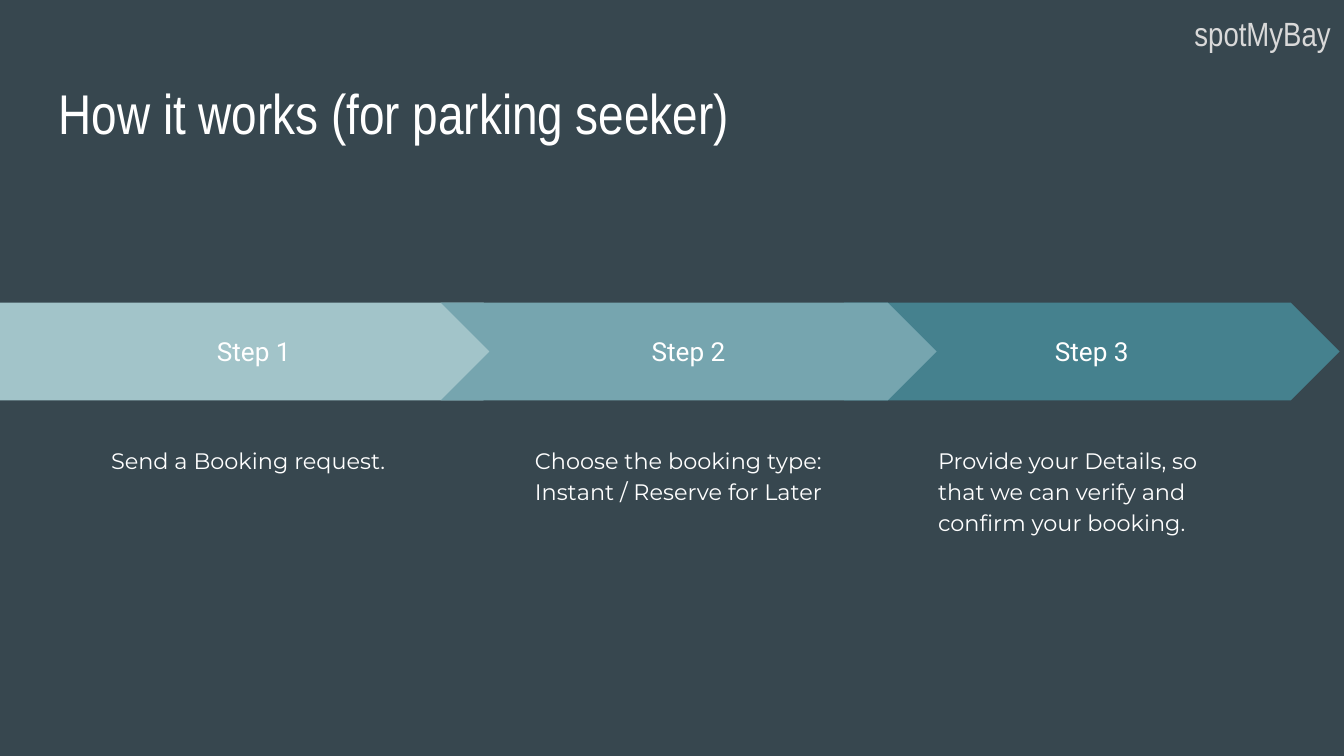
import dataclasses

import pptx
import pptx.dml.color
import pptx.enum.shapes
import pptx.enum.text
import pptx.util

Cm = pptx.util.Cm
Pt = pptx.util.Pt
ALIGN = pptx.enum.text.PP_ALIGN
ANCHOR = pptx.enum.text.MSO_ANCHOR
SHAPE = pptx.enum.shapes.MSO_SHAPE


@dataclasses.dataclass(frozen=True)
class TextStyle:
    font: str
    size: int
    color: str = "FFFFFF"
    align: ALIGN = ALIGN.LEFT
    line_spacing: float = 1.0


@dataclasses.dataclass(frozen=True)
class Theme:
    background: str = "37474F"
    step_fills: tuple = ("A2C4C9", "76A5AF", "45818E")
    title: TextStyle = TextStyle("Arial Narrow", 30)
    name: TextStyle = TextStyle("Arial Narrow", 18, "D9D9D9", ALIGN.RIGHT)
    step: TextStyle = TextStyle("Roboto", 14, align=ALIGN.CENTER)
    detail: TextStyle = TextStyle("Montserrat", 12, line_spacing=1.15)


THEME = Theme()

# Each step: arrow shape, arrow left and width, detail left (cm), detail lines
STEPS = (
    (SHAPE.PENTAGON, 0, 10.06, 1.85, ["Send a Booking request."]),
    (SHAPE.CHEVRON, 8.33, 9.37, 9.86,
     ["Choose the booking type:", "Instant / Reserve for Later"]),
    (SHAPE.CHEVRON, 15.95, 9.37, 17.48,
     ["Provide your Details, so that we can verify and confirm your booking."]),
)
DRAW_ORDER = (3, 1, 2)  # step 2 overlaps both of its neighbours


def rgb(color):
    return pptx.dml.color.RGBColor.from_string(color)


def write_text(shape, lines, style, anchor=ANCHOR.TOP):
    frame = shape.text_frame
    frame.word_wrap = True
    frame.vertical_anchor = anchor
    frame.margin_left = frame.margin_right = Cm(0.25)
    frame.margin_top = frame.margin_bottom = Cm(0.25)
    for index, line in enumerate(lines):
        paragraph = frame.add_paragraph() if index else frame.paragraphs[0]
        paragraph.alignment = style.align
        paragraph.line_spacing = style.line_spacing
        run = paragraph.add_run()
        run.text = line
        run.font.name = style.font
        run.font.size = Pt(style.size)
        run.font.color.rgb = rgb(style.color)


def add_text(slide, left, top, width, height, lines, style):
    shape = slide.shapes.add_textbox(Cm(left), Cm(top), Cm(width), Cm(height))
    write_text(shape, lines, style)


def add_step_arrow(slide, kind, left, width, label, fill):
    shape = slide.shapes.add_shape(kind, Cm(left), Cm(5.72), Cm(width), Cm(1.85))
    shape.adjustments[0] = 0.5
    shape.shadow.inherit = False
    shape.fill.solid()
    shape.fill.fore_color.rgb = rgb(fill)
    shape.line.fill.background()
    write_text(shape, [label], THEME.step, ANCHOR.MIDDLE)


def add_step(slide, number):
    kind, left, width, detail_left, lines = STEPS[number - 1]
    fill = THEME.step_fills[number - 1]
    add_step_arrow(slide, kind, left, width, f"Step {number}", fill)
    add_text(slide, detail_left, 8.13, 6.32, 7.26, lines, THEME.detail)


def main():
    presentation = pptx.Presentation()
    presentation.slide_width = Cm(25.4)
    presentation.slide_height = Cm(14.29)
    slide = presentation.slides.add_slide(presentation.slide_layouts[6])
    slide.background.fill.solid()
    slide.background.fill.fore_color.rgb = rgb(THEME.background)

    # Title
    add_text(slide, 0.86, 1.24, 23.67, 1.6,
             ["How it works (for parking seeker)"], THEME.title)

    # Process steps
    for number in DRAW_ORDER:
        add_step(slide, number)

    # Product name
    add_text(slide, 20.02, 0, 5.38, 1.45, ["spotMyBay"], THEME.name)

    presentation.save("out.pptx")


if __name__ == "__main__":
    main()
